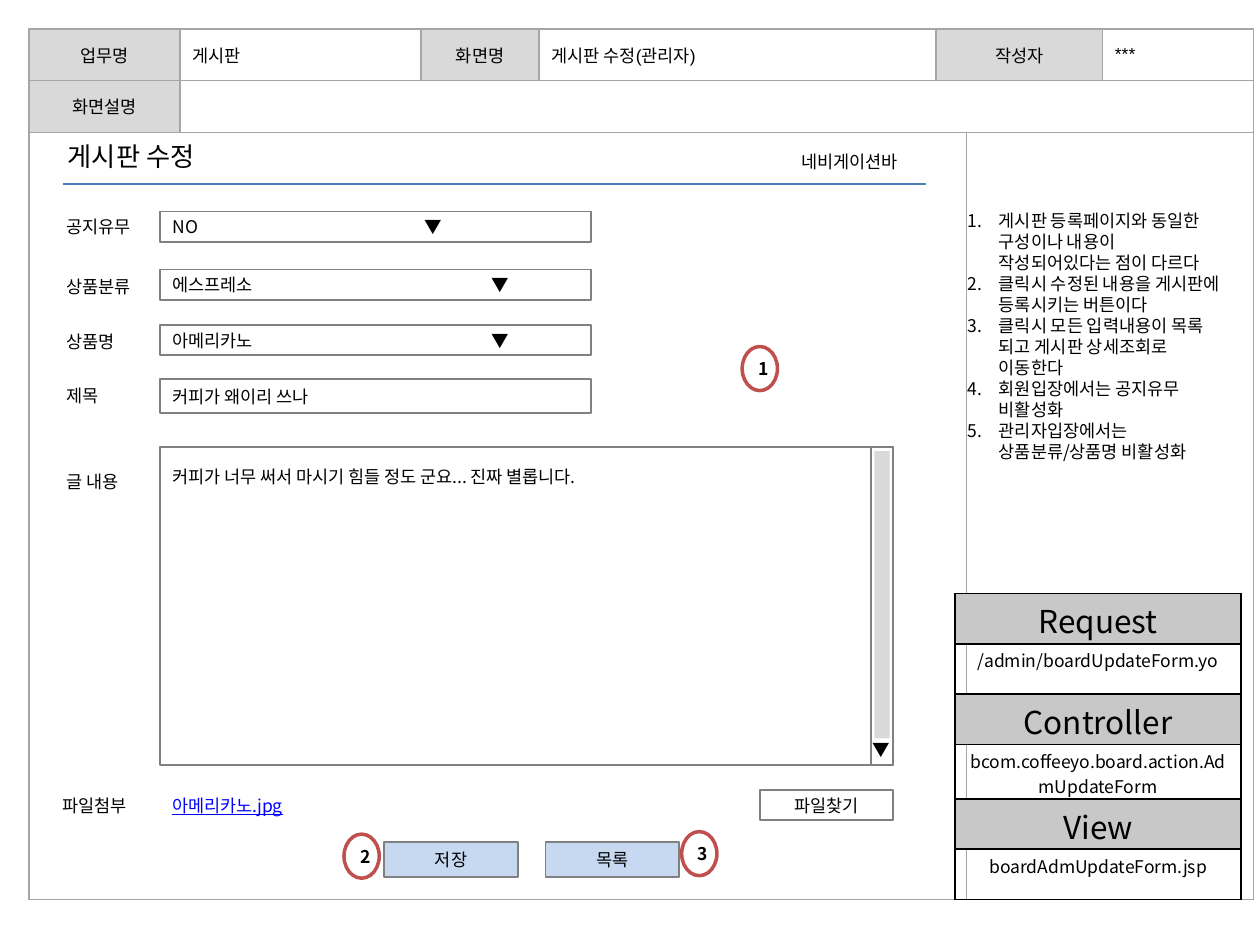
import pptx
import pptx.util
import pptx.oxml
import pptx.oxml.ns
from pptx.dml.color import RGBColor
from pptx.enum.shapes import MSO_CONNECTOR, MSO_SHAPE
from pptx.enum.text import MSO_ANCHOR, PP_ALIGN
from pptx.util import Inches, Pt
from lxml import etree

BLACK = RGBColor(0x00, 0x00, 0x00)
WHITE = RGBColor(0xFF, 0xFF, 0xFF)
GRAY = RGBColor(0x80, 0x80, 0x80)
LIGHT = RGBColor(0xD9, 0xD9, 0xD9)
SILVER = RGBColor(0xC8, 0xC8, 0xC8)
BORDER = RGBColor(0xA6, 0xA6, 0xA6)
PALE_BLUE = RGBColor(0xC6, 0xD9, 0xF1)
RULE_BLUE = RGBColor(0x4B, 0x7E, 0xBC)
LINK_BLUE = RGBColor(0x00, 0x00, 0xFF)
RED = RGBColor(0xC0, 0x50, 0x4D)
KOREAN = "Noto Sans CJK KR"
LEFT, CENTER = PP_ALIGN.LEFT, PP_ALIGN.CENTER

FRAME_COLS = [1.2, 1.91, 0.94, 3.15, 0.13, 1.08, 1.2]
FRAME_ROWS = [0.41, 0.41, 6.09]
FRAME_MERGES = [(0, 4, 0, 5), (1, 1, 1, 6), (2, 0, 2, 4), (2, 5, 2, 6)]
HEADINGS = {(0, 0): "업무명", (0, 2): "화면명", (0, 4): "작성자", (1, 0): "화면설명"}
VALUES = {(0, 1): "게시판", (0, 3): "게시판 수정(관리자)", (0, 6): "***"}
NOTES = [
    "게시판 등록페이지와 동일한 구성이나 내용이 작성되어있다는 점이 다르다",
    "클릭시 수정된 내용을 게시판에 등록시키는 버튼이다",
    "클릭시 모든 입력내용이 목록 되고 게시판 상세조회로 이동한다",
    "회원입장에서는 공지유무 비활성화",
    "관리자입장에서는 상품분류/상품명 비활성화",
]
LABELS = [
    ("공지유무", 0.43, 1.8), ("상품분류", 0.43, 2.27), ("상품명", 0.43, 2.71),
    ("제목", 0.43, 3.14), ("글 내용", 0.43, 3.82), ("파일첨부", 0.4, 6.39),
]
FIELDS = [
    ("NO\t▼", 1.68, 0.24, 2.0), ("에스프레소\t▼", 2.14, 0.24, 2.53),
    ("아메리카노\t▼", 2.58, 0.24, 2.53), ("커피가 왜이리 쓰나", 3.01, 0.27, None),
]
BUTTONS = [
    ("파일찾기", 6.03, 6.27, 0.24, WHITE),
    ("저장", 3.05, 6.68, 0.28, PALE_BLUE),
    ("목록", 4.33, 6.68, 0.28, PALE_BLUE),
]
MARKERS = [("1", 5.89, 2.75), ("2", 2.73, 6.62), ("3", 5.41, 6.6)]
FLOW = [
    ("Request", "/admin/boardUpdateForm.yo", 0.4),
    ("Controller", "bcom.coffeeyo.board.action.AdmUpdateForm", 0.43),
    ("View", "boardAdmUpdateForm.jsp", 0.4),
]

prs = pptx.Presentation()
prs.slide_width, prs.slide_height = Inches(10), Inches(7.5)
s = prs.slides.add_slide(prs.slide_layouts[6])


def add_child(parent, tag, **attrs):
    return etree.SubElement(parent, pptx.oxml.ns.qn(tag), attrs)


def style(p, size=10, color=BLACK, align=LEFT, font=KOREAN, bold=False, underline=False):
    p.alignment = align
    f = p.font
    f.size, f.bold, f.underline, f.name = Pt(size), bold, underline, font
    f.color.rgb = color
    add_child(p._p.pPr.find(pptx.oxml.ns.qn("a:defRPr")), "a:ea", typeface=KOREAN)
    for r in p.runs:
        r.font.size, r.font.name = Pt(size), font
        add_child(r._r.get_or_add_rPr(), "a:ea", typeface=KOREAN)


def add_box(x, y, w, h, fill=WHITE, line=GRAY, width=1, shape=MSO_SHAPE.RECTANGLE):
    sp = s.shapes.add_shape(shape, Inches(x), Inches(y), Inches(w), Inches(h))
    sp.shadow.inherit = False
    sp.fill.solid()
    sp.fill.fore_color.rgb = fill
    if line is None:
        sp.line.fill.background()
    else:
        sp.line.color.rgb = line
        sp.line.width = Pt(width)
    return sp


def write(sp, text, tab=None, wrap=True, **font):
    tf = sp.text_frame
    tf.word_wrap = wrap
    tf.vertical_anchor = MSO_ANCHOR.MIDDLE
    p = tf.paragraphs[0]
    p.text = text
    if tab:
        tabs = add_child(p._p.get_or_add_pPr(), "a:tabLst")
        add_child(tabs, "a:tab", pos=str(Inches(tab)), algn="l")
    style(p, **font)
    return tf


def add_text(text, x, y, w, h, **options):
    tb = s.shapes.add_textbox(Inches(x), Inches(y), Inches(w), Inches(h))
    return write(tb, text, wrap=False, **options)


def add_table(x, y, cols, rows):
    t = s.shapes.add_table(len(rows), len(cols), Inches(x), Inches(y),
                           Inches(sum(cols)), Inches(sum(rows))).table
    t.first_row = t.horz_banding = False
    for col, w in zip(t.columns, cols):
        col.width = Inches(w)
    for row, h in zip(t.rows, rows):
        row.height = Inches(h)
    return t


def format_cell(cell, fill, border):
    tcPr = cell._tc.get_or_add_tcPr()
    for side in ("a:lnL", "a:lnR", "a:lnT", "a:lnB"):
        ln = add_child(tcPr, side, w=str(Pt(1)))
        add_child(add_child(ln, "a:solidFill"), "a:srgbClr", val=str(border))
    if fill is None:
        cell.fill.background()
    else:
        cell.fill.solid()
        cell.fill.fore_color.rgb = fill


frame = add_table(0.23, 0.23, FRAME_COLS, FRAME_ROWS)
for r1, c1, r2, c2 in FRAME_MERGES:
    frame.cell(r1, c1).merge(frame.cell(r2, c2))
for r in range(len(FRAME_ROWS)):
    for c in range(len(FRAME_COLS)):
        cell = frame.cell(r, c)
        heading = (r, c) in HEADINGS
        cell.vertical_anchor = MSO_ANCHOR.MIDDLE
        p = cell.text_frame.paragraphs[0]
        p.text = HEADINGS.get((r, c), VALUES.get((r, c), ""))
        style(p, align=CENTER if heading else LEFT, font="Arial")
        format_cell(cell, LIGHT if heading else WHITE if r == 2 else None, BORDER)

tf = s.shapes.add_textbox(Inches(7.58), Inches(1.62), Inches(2.27), Inches(2.12)).text_frame
tf.word_wrap = True
for i, note in enumerate(NOTES):
    p = tf.paragraphs[0] if i == 0 else tf.add_paragraph()
    p.text = note
    p.line_spacing = Pt(12)
    pPr = p._p.get_or_add_pPr()
    pPr.set("marL", str(Inches(0.25)))
    pPr.set("indent", str(-Inches(0.25)))
    add_child(pPr, "a:buFont", typeface="+mj-lt")
    add_child(pPr, "a:buAutoNum", type="arabicPeriod")
    style(p)

add_text("게시판 수정", 0.44, 1.06, 1.33, 0.35, size=15)
add_text("네비게이션바", 6.26, 1.15, 1.04, 0.27)
rule = s.shapes.add_connector(MSO_CONNECTOR.STRAIGHT, Inches(0.5), Inches(1.46),
                              Inches(7.35), Inches(1.46))
rule.line.color.rgb = RULE_BLUE
rule.line.width = Pt(0.75)
add_child(rule._element.spPr, "a:effectLst")

for text, x, middle in LABELS:
    add_text(text, x, middle - 0.14, 0.84, 0.28)
for text, y, h, tab in FIELDS:
    write(add_box(1.27, y, 3.42, h), text, tab)

tf = write(add_box(1.27, 3.55, 5.82, 2.52),
           "커피가 너무 써서 마시기 힘들 정도 군요... 진짜 별롭니다.")
tf.vertical_anchor = MSO_ANCHOR.TOP
tf.margin_top = Inches(0.15)
add_box(6.91, 3.55, 0.18, 2.52)
add_text("▼", 6.83, 5.83, 0.31, 0.24, align=CENTER)
add_box(6.94, 3.58, 0.12, 2.28, LIGHT, None)

write(add_box(1.27, 6.27, 4.6, 0.24, line=None), "아메리카노.jpg",
      color=LINK_BLUE, underline=True)
for text, x, y, h, fill in BUTTONS:
    write(add_box(x, y, 1.06, h, fill), text, align=CENTER)
for text, x, y in MARKERS:
    tf = write(add_box(x, y, 0.28, 0.35, WHITE, RED, 2, MSO_SHAPE.OVAL), text,
               wrap=False, align=CENTER, bold=True)
    tf.margin_left, tf.margin_right = Inches(0.06), 0

flow = add_table(7.58, 4.71, [2.27], [h for _, _, detail in FLOW for h in (0.4, detail)])
for i, (title, detail, _) in enumerate(FLOW):
    for row, text, size, fill in ((2 * i, title, 18, SILVER), (2 * i + 1, detail, 10, None)):
        cell = flow.cell(row, 0)
        cell.margin_top, cell.margin_bottom = Inches(0.03), 0
        p = cell.text_frame.paragraphs[0]
        p.text = text
        style(p, size=size, align=CENTER)
        format_cell(cell, fill, BLACK)

prs.save("out.pptx")
